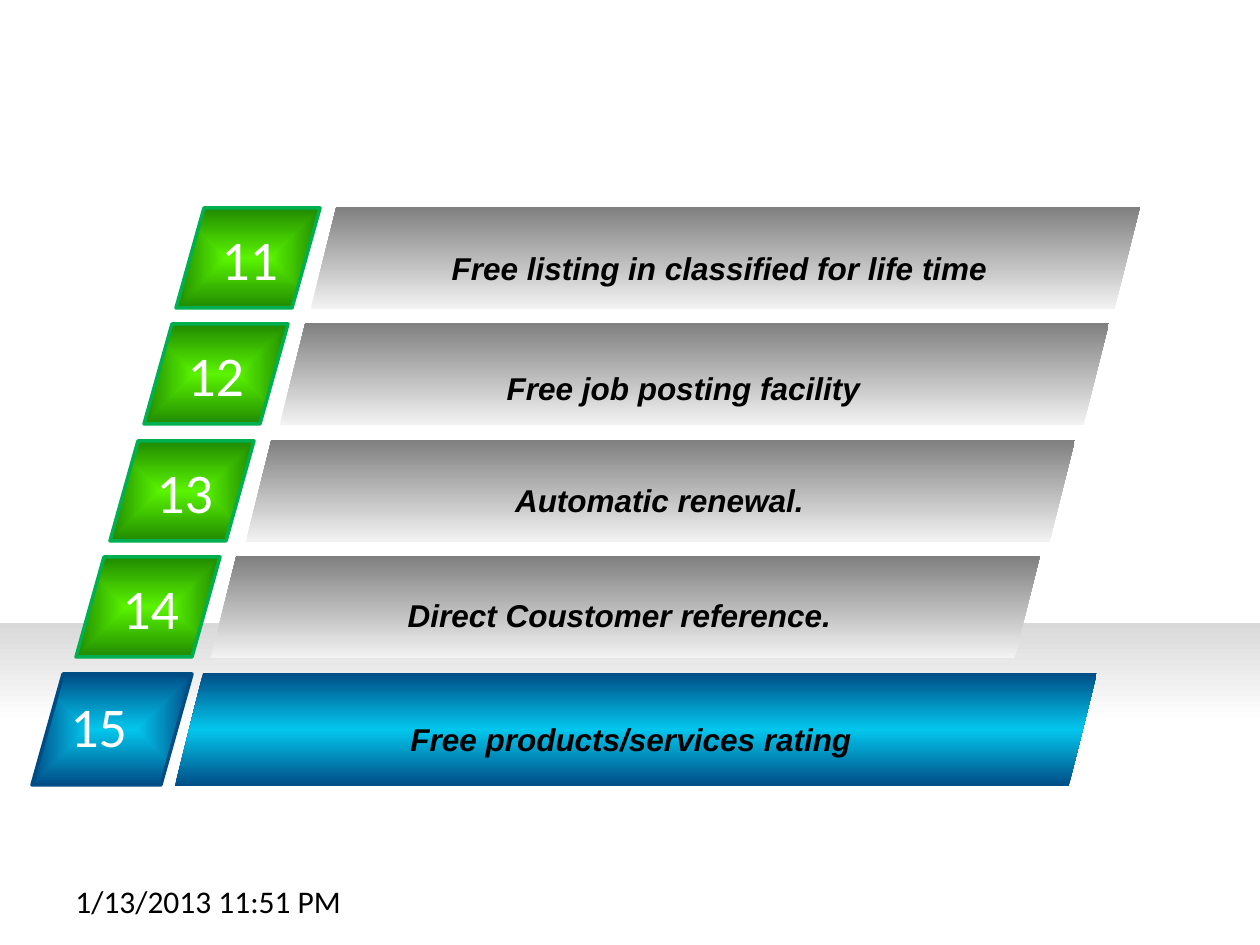
import pptx
import pptx.util
import pptx.dml.color
import pptx.enum.shapes
import pptx.enum.text
import pptx.oxml
import pptx.oxml.ns

PX = 914400 / 126
COLORS = {
    "white": "FFFFFF", "black": "000000", "floor": "D9D9D9",
    "navy": "004D86", "cyan": "03C6ED",
    "lime": "5AF300", "forest": "208A00", "green": "00B050",
    "pale": "F2F2F2", "gray": "808080",
}
SHAPE = pptx.enum.shapes.MSO_SHAPE


def add_gradient_shape(shapes, kind, box, stops, center=False):
    """Stops run from bottom to top, or outward from the center."""
    shape = shapes.add_shape(kind, *(round(value * PX) for value in box))
    shape.shadow.inherit = False
    shape.line.fill.background()
    shape.fill.gradient()
    gradient = shape._element.spPr.find(pptx.oxml.ns.qn("a:gradFill"))
    stop_xml = "".join(
        f'<a:gs pos="{position * 1000}"><a:srgbClr val="{COLORS[name]}"/></a:gs>'
        for position, name in stops)
    direction = '<a:lin ang="16200000" scaled="0"/>'
    if center:
        direction = ('<a:path path="rect"><a:fillToRect l="50000" t="50000" '
                     'r="50000" b="50000"/></a:path>')
    gradient.getparent().replace(gradient, pptx.oxml.parse_xml(
        f'<a:gradFill {pptx.oxml.ns.nsdecls("a")} rotWithShape="1">'
        f'<a:gsLst>{stop_xml}</a:gsLst>{direction}</a:gradFill>'))
    return shape


def add_text(shapes, box, text, size, font, color, label=False):
    text_box = shapes.add_textbox(*(round(value * PX) for value in box))
    text_box.text_frame.word_wrap = True
    text_box.text_frame.text = text
    paragraph = text_box.text_frame.paragraphs[0]
    run_font = paragraph.runs[0].font
    run_font.size = pptx.util.Pt(size)
    run_font.name = font
    run_font.color.rgb = pptx.dml.color.RGBColor.from_string(COLORS[color])
    if label:
        paragraph.alignment = pptx.enum.text.PP_ALIGN.CENTER
        run_font.bold = run_font.italic = True


presentation = pptx.Presentation()
presentation.slide_width = pptx.util.Inches(10)
presentation.slide_height = pptx.util.Inches(7.5)
slide = presentation.slides.add_slide(presentation.slide_layouts[6])

# Shaded floor
add_gradient_shape(slide.shapes, SHAPE.RECTANGLE, (0, 623, 1260, 255),
                   [(0, "white"), (61, "white"), (100, "floor")])

# Color schemes: tile gradient, tile outline, bar gradient
green_scheme = ([(0, "lime"), (100, "forest")], "green",
                [(0, "pale"), (100, "gray")])
blue_scheme = ([(0, "cyan"), (100, "navy")], "navy",
               [(0, "navy"), (50, "cyan"), (100, "navy")])

# Rows: number, label, tile, number box, bar and label box, color scheme
rows = [("15", "Free products/services rating", (32, 674, 160, 111),
         (58, 685, 97, 81), (175, 673, 922, 113), (217, 714, 828, 50),
         blue_scheme)]
green_rows = [
    ("11", "Free listing in classified for life time", 176, 209, 311, 347, 243),
    ("12", "Free job posting facility", 144, 175, 280, 311, 363),
    ("13", "Automatic renewal.", 110, 144, 246, 287, 475),
    ("14", "Direct Coustomer reference.", 76, 110, 211, 247, 590),
]
for index, (number, label, tile_x, number_x, bar_x, label_x, label_y) in enumerate(green_rows):
    top = round(208 + index * 116.33)
    rows.append((number, label, (tile_x, top, 144, 100),
                 (number_x, top + 10, 103, 81), (bar_x, top - 1, 829, 102),
                 (label_x, label_y, 745, 50), green_scheme))

for number, label, tile_box, number_box, bar_box, label_box, scheme in rows:
    tile_stops, outline, bar_stops = scheme
    # Numbered tile
    group = slide.shapes.add_group_shape()
    tile = add_gradient_shape(group.shapes, SHAPE.PARALLELOGRAM, tile_box,
                              tile_stops, center=True)
    tile.adjustments[0] = 0.28
    tile.line.color.rgb = pptx.dml.color.RGBColor.from_string(COLORS[outline])
    tile.line.width = pptx.util.Pt(2)
    add_text(group.shapes, number_box, number, 32, "Calibri", "white")
    # Bar with its label
    add_gradient_shape(slide.shapes, SHAPE.PARALLELOGRAM, bar_box, bar_stops)
    add_text(slide.shapes, label_box, label, 18, "Arial", "black", label=True)

# Date
add_text(slide.shapes, (63, 876, 294, 50), "1/13/2013 11:51 PM", 18, "Calibri", "black")

presentation.save("out.pptx")
